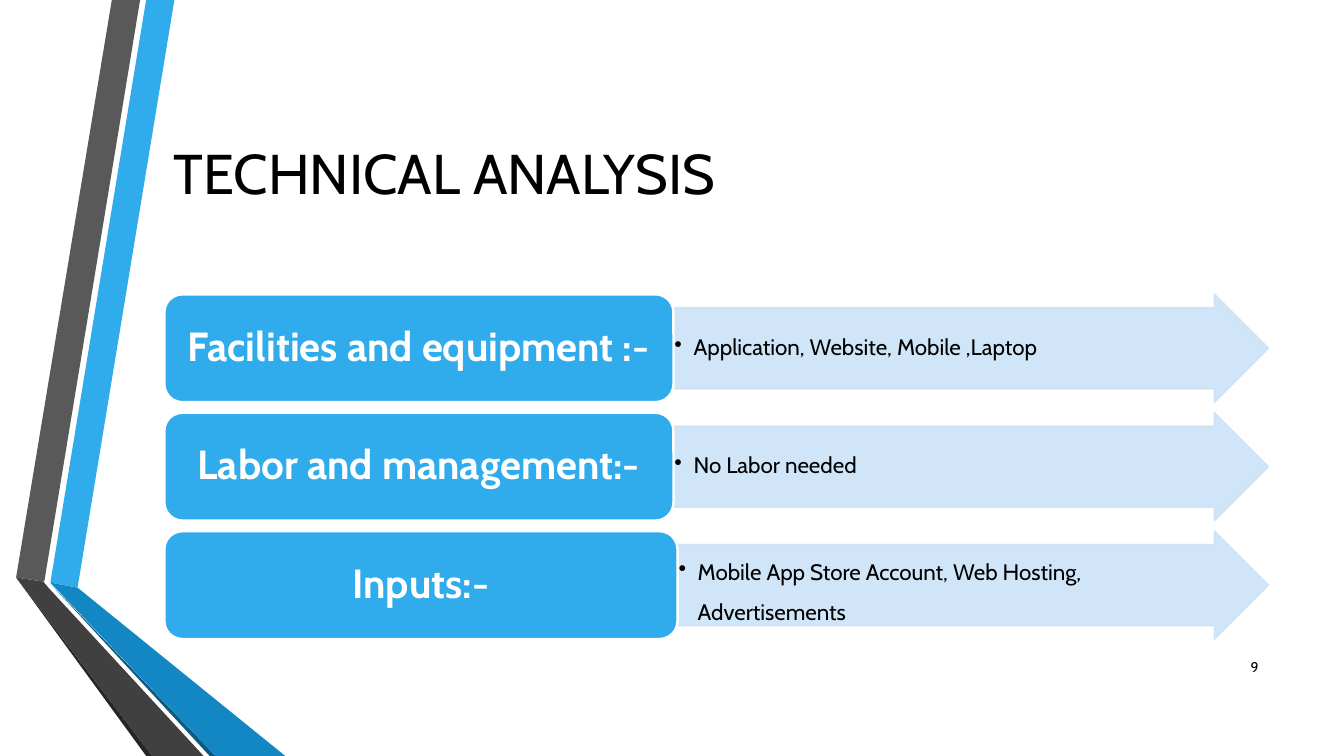
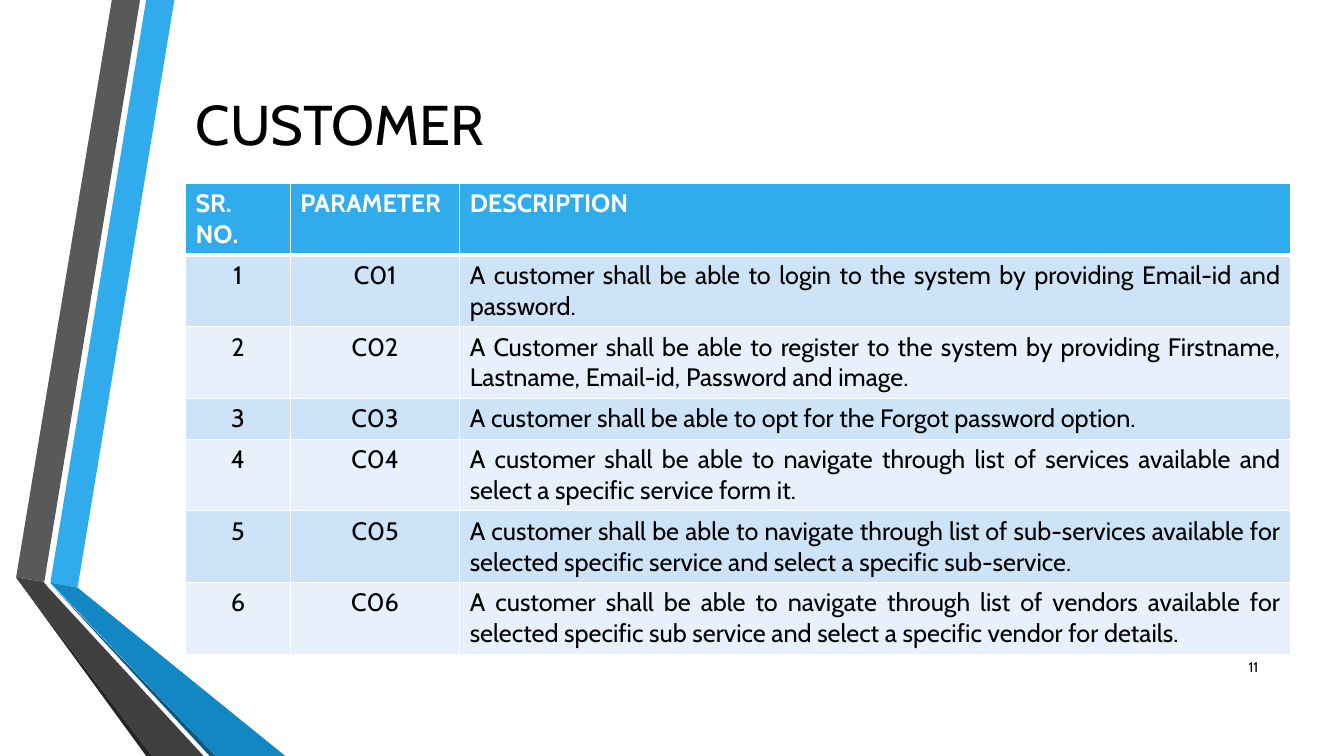
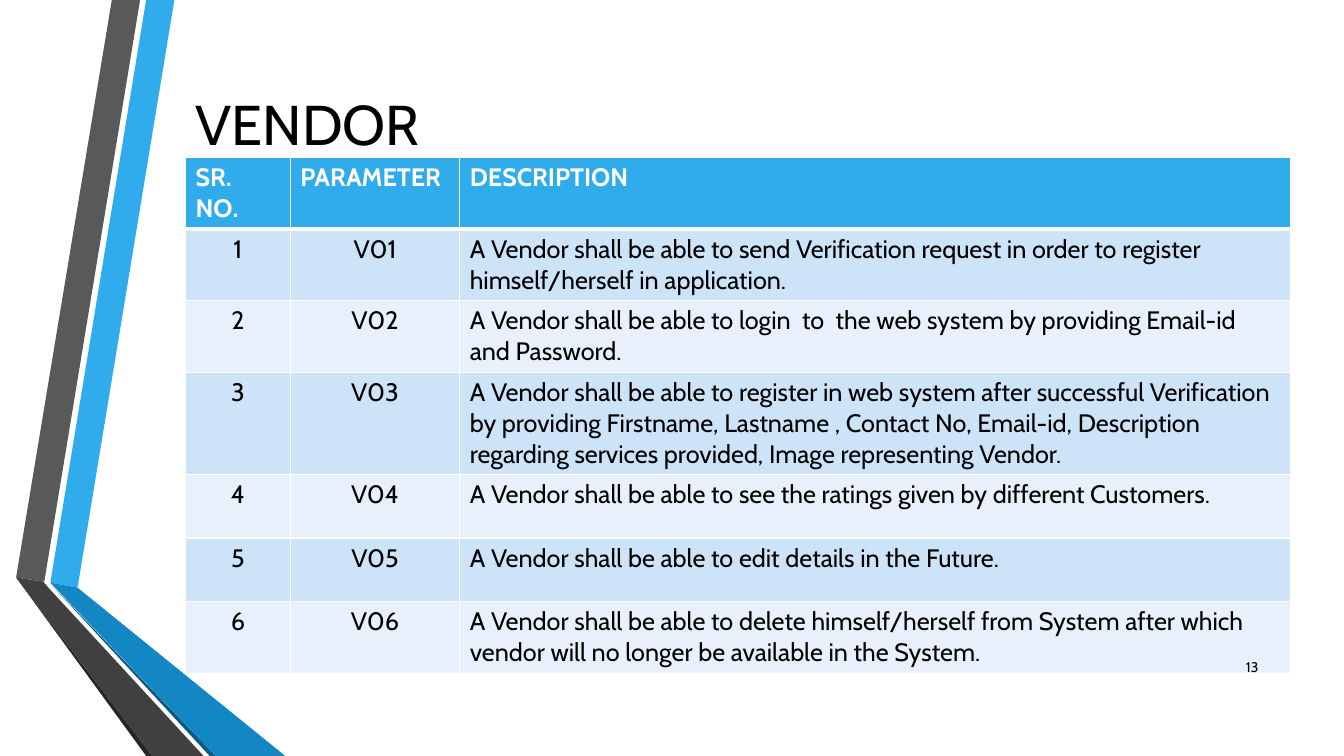
from lxml.etree import SubElement
from pptx import Presentation
from pptx.dml.color import RGBColor
from pptx.enum.shapes import MSO_SHAPE as Preset
from pptx.enum.text import MSO_ANCHOR as Anchor, MSO_AUTO_SIZE as AutoSize, PP_ALIGN as Align
from pptx.oxml.ns import qn
from pptx.util import Inches, Pt

FONT = "Cabin"
BLACK, WHITE = "000000", "FFFFFF"
BLUE, PALE, PALEST = "30ACEC", "CDE3F8", "E8F1FB"
CONTENT_RIGHT = 12.58

RIBBONS = [
    (BLUE, [(0.5, 5.78), (0.77, 5.83), (1.73, 0), (1.45, 0)]),
    ("595959", [(1.39, 0), (1.11, 0), (0.16, 5.73), (0.44, 5.77)]),
    ("262626", [(0.16, 5.73), (1.45, 7.5), (1.51, 7.5)]),
    ("0C5A82", [(0.5, 5.79), (2.08, 7.5), (2.14, 7.5)]),
    ("1287C3", [(0.5, 5.78), (2.14, 7.5), (2.83, 7.5), (0.77, 5.83)]),
    ("404040", [(2.02, 7.5), (0.48, 5.83), (0.43, 5.77), (0.16, 5.73), (1.51, 7.5)]),
]

ANALYSIS = [
    ("Facilities and equipment :-", "Application, Website, Mobile ,Laptop", 5.05, 0.9),
    ("Labor and management:-", "No Labor needed", 5.05, 0.9),
    ("Inputs:-", "Mobile App Store Account, Web Hosting, Advertisements", 5.09, 1.5),
]

CUSTOMER = [
    "A customer shall be able to login to the system by providing Email-id and password.",
    "A Customer shall be able to register to the system by providing Firstname, Lastname, "
    "Email-id, Password and image.",
    "A customer shall be able to opt for the Forgot password option.",
    "A customer shall be able to navigate through list of services available and select a "
    "specific service form it.",
    "A customer shall be able to navigate through list of sub-services available for selected "
    "specific service and select a specific sub-service.",
    "A customer shall be able to navigate through list of vendors available for selected "
    "specific sub service and select a specific vendor for details.",
]

VENDOR = [
    "A Vendor shall be able to send Verification request in order to register himself/herself "
    "in application.",
    "A Vendor shall be able to login  to  the web system by providing Email-id and Password.",
    "A Vendor shall be able to register in web system after successful Verification by "
    "providing Firstname, Lastname , Contact No, Email-id, Description regarding services "
    "provided, Image representing Vendor.",
    "A Vendor shall be able to see the ratings given by different Customers.",
    "A Vendor shall be able to edit details in the Future.",
    "A Vendor shall be able to delete himself/herself from System after which vendor will no "
    "longer be available in the System.",
]


def color(value):
    return RGBColor.from_string(value)


def write(frame, text, size, ink=BLACK, bold=False, align=Align.LEFT, anchor=Anchor.MIDDLE,
          spacing=None, insets=None, bullet=None):
    frame.word_wrap = True
    frame.vertical_anchor = anchor
    if insets:
        (frame.margin_left, frame.margin_top,
         frame.margin_right, frame.margin_bottom) = map(Inches, insets)
    paragraph = frame.paragraphs[0]
    if bullet:
        properties = paragraph._p.get_or_add_pPr()
        properties.set("marL", str(Inches(0.19)))
        properties.set("indent", str(Inches(-0.19)))
        SubElement(properties, qn("a:buChar"), char=bullet)
    paragraph.alignment = align
    if spacing:
        paragraph.line_spacing = spacing
    run = paragraph.add_run()
    run.text = text
    run.font.name = FONT
    run.font.size = Pt(size)
    run.font.bold = bold
    run.font.color.rgb = color(ink)


def add_border(cell, side, width):
    line = SubElement(cell._tc.get_or_add_tcPr(), qn(f"a:{side}"), w=str(Pt(width)))
    fill = SubElement(line, qn("a:solidFill"))
    SubElement(fill, qn("a:srgbClr"), val=WHITE)


class Deck:
    def __init__(self):
        self.presentation = Presentation()
        self.presentation.slide_width = Inches(13.33)
        self.presentation.slide_height = Inches(7.5)
        self.layout = self.presentation.slide_layouts[5]
        for placeholder in list(self.layout.placeholders)[1:]:
            self.layout.shapes.element.remove(placeholder.element)
        self.slide = None

    def add_slide(self, title, left, top):
        first = self.slide is None
        self.slide = self.presentation.slides.add_slide(self.layout)
        if first:
            self.add_ribbons()
        shape = self.slide.shapes.title
        shape.left, shape.top = Inches(left), Inches(top)
        shape.width, shape.height = Inches(10.96), Inches(1.92)
        shape.text_frame.auto_size = AutoSize.NONE
        write(shape.text_frame, title, 40)

    def add_ribbons(self):
        for fill, points in RIBBONS:
            corners = [(Inches(x), Inches(y)) for x, y in points]
            builder = self.slide.shapes.build_freeform(*corners[0])
            builder.add_line_segments(corners[1:], close=True)
            shape = builder.convert_to_shape()
            shape.shadow.inherit = False
            shape.fill.solid()
            shape.fill.fore_color.rgb = color(fill)
            shape.line.fill.background()
            self.layout.shapes.element.append(shape.element)

    def add_number(self, number):
        box = self.slide.shapes.add_textbox(Inches(11.98), Inches(6.42), Inches(0.6), Inches(0.4))
        write(box.text_frame, str(number), 10, align=Align.RIGHT)

    def add_shape(self, preset, left, top, width, height, fill, line, weight, opacity=None):
        shape = self.slide.shapes.add_shape(
            preset, Inches(left), Inches(top), Inches(width), Inches(height))
        shape.shadow.inherit = False
        shape.fill.solid()
        shape.fill.fore_color.rgb = color(fill)
        shape.line.color.rgb = color(line)
        shape.line.width = Pt(weight)
        if opacity:
            for tint in shape.element.spPr.iter(qn("a:srgbClr")):
                SubElement(tint, qn("a:alpha"), val=str(opacity * 1000))
        return shape

    def add_analysis_row(self, top, label, detail, label_width, spacing):
        left, height = 1.63, 1.07
        arrow_left = left + label_width
        arrow = self.add_shape(Preset.RIGHT_ARROW, arrow_left, top, CONTENT_RIGHT - arrow_left,
                               height, PALE, PALE, 1.25, opacity=90)
        arrow.adjustments[0] = 0.75
        write(arrow.text_frame, detail, 16, spacing=spacing, bullet="•",
              insets=(0.01, 0.01, 0.6, 0.01))
        box = self.add_shape(Preset.ROUNDED_RECTANGLE, left, top, label_width, height,
                             BLUE, WHITE, 1.75)
        write(box.text_frame, label, 29, WHITE, bold=True, align=Align.CENTER, spacing=0.9,
              insets=(0.12, 0.06, 0.12, 0.06))

    def add_requirements(self, top, prefix, descriptions, heights, align):
        rows = [("SR. NO.", "PARAMETER", "DESCRIPTION")]
        rows += [(str(number), f"{prefix}0{number}", text)
                 for number, text in enumerate(descriptions, 1)]
        table = self.slide.shapes.add_table(
            len(rows), 3, Inches(1.84), Inches(top), Inches(10.96), Inches(sum(heights))).table
        for column, width in zip(table.columns, (1.04, 1.68, 8.24)):
            column.width = Inches(width)
        for index, (values, height) in enumerate(zip(rows, heights)):
            table.rows[index].height = Inches(height)
            header = index == 0
            fill = BLUE if header else (PALEST, PALE)[index % 2]
            aligns = [Align.JUSTIFY] * 3 if header else [Align.CENTER, Align.CENTER, align]
            for column, value in enumerate(values):
                cell = table.cell(index, column)
                add_border(cell, "lnL", 1)
                add_border(cell, "lnR", 1)
                add_border(cell, "lnT", 3 if index == 1 else 1)
                add_border(cell, "lnB", 3 if header else 1)
                cell.fill.solid()
                cell.fill.fore_color.rgb = color(fill)
                write(cell.text_frame, value, 18, WHITE if header else BLACK, bold=header,
                      align=aligns[column], anchor=Anchor.TOP)


def main():
    deck = Deck()

    deck.add_slide("TECHNICAL ANALYSIS", 1.62, 0.75)
    deck.add_number(9)
    for index, row in enumerate(ANALYSIS):
        deck.add_analysis_row(2.92 + index * 2.35 / 2, *row)

    deck.add_slide("CUSTOMER", 1.84, 0.26)
    deck.add_requirements(1.82, "C", CUSTOMER, [0.67] * 3 + [0.38] + [0.67] * 3, Align.JUSTIFY)
    deck.add_number(11)

    deck.add_slide("VENDOR", 1.84, 0.26)
    deck.add_requirements(1.56, "V", VENDOR, [0.66] * 3 + [0.94, 0.63, 0.63, 0.66], Align.LEFT)
    deck.add_number(13)

    deck.presentation.save("out.pptx")


if __name__ == "__main__":
    main()
